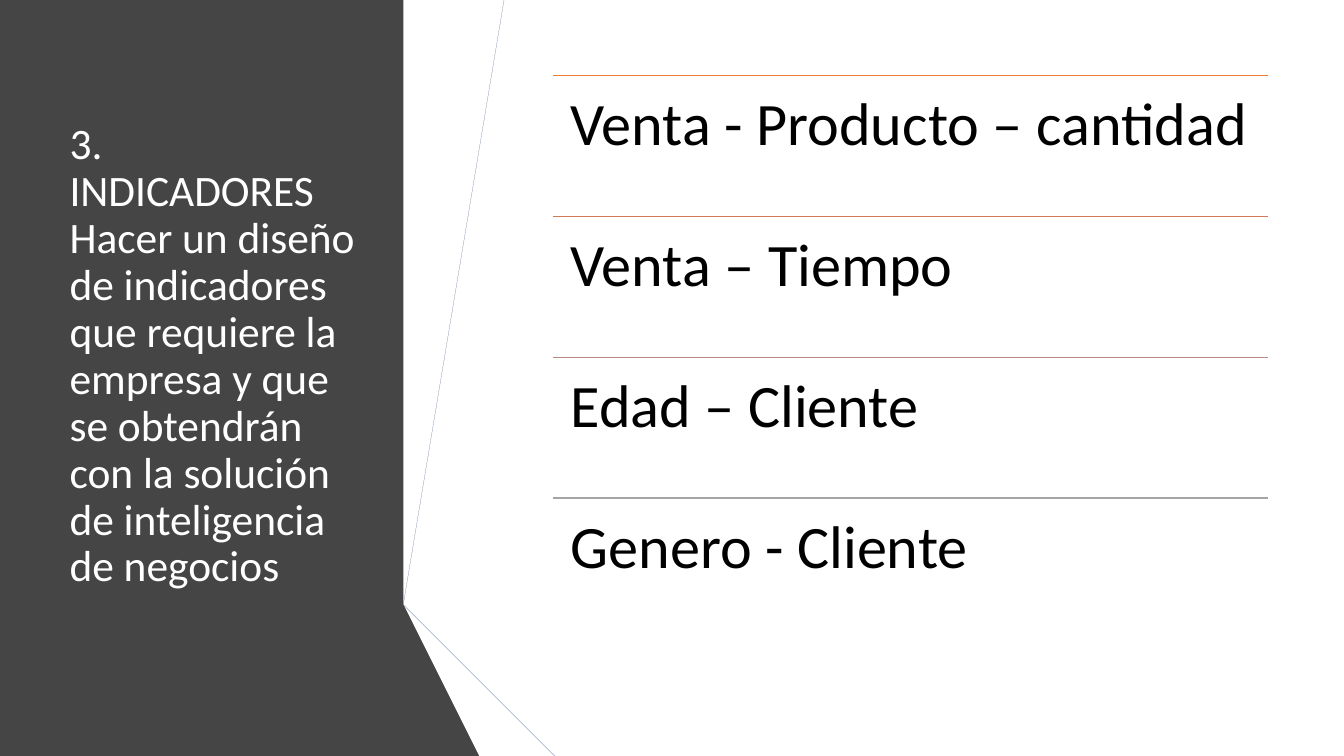
import pptx
import pptx.util
import pptx.dml.color
import pptx.enum.shapes
import pptx.enum.text
import pptx.oxml

Inches = pptx.util.Inches
Pt = pptx.util.Pt


def paint(color_format, hex_color):
    color_format.rgb = pptx.dml.color.RGBColor.from_string(hex_color)


def write(frame, text, size, hex_color, settings):
    for name, value in settings.items():
        setattr(frame, name, value)
    frame.text = text
    para = frame.paragraphs[0]
    para.line_spacing = 0.9
    para.alignment = pptx.enum.text.PP_ALIGN.LEFT
    for span in para.runs:
        span.font.name = "Calibri"
        span.font.size = Pt(size)
        paint(span.font.color, hex_color)


deck = pptx.Presentation()
deck.slide_width = Inches(13.33)
deck.slide_height = Inches(7.5)
page = deck.slides.add_slide(deck.slide_layouts[5])
shapes = page.shapes

ribbons = [
    ("454545", [(0, 0), (4.49, 0), (3.56, 5.76), (4.82, 7.5), (0, 7.5)]),
    ("4472C4", [(3.96, 5.78), (4.23, 5.83), (5.19, 0), (4.91, 0)]),
    ("595959", [(4.85, 0), (4.57, 0), (3.63, 5.73), (3.9, 5.77)]),
    ("262626", [(3.63, 5.73), (4.91, 7.5), (4.97, 7.5)]),
    ("203864", [(3.96, 5.79), (5.54, 7.5), (5.6, 7.5)]),
    ("2F5597", [(3.96, 5.78), (3.96, 5.79), (5.6, 7.5), (6.29, 7.5), (4.23, 5.83)]),
    ("404040", [(3.63, 5.73), (4.97, 7.5), (5.48, 7.5), (3.95, 5.83), (3.9, 5.77)]),
]
for hex_color, corners in ribbons:
    outline = shapes.build_freeform(*corners[0], scale=Inches(1))
    outline.add_line_segments(corners[1:], close=True)
    ribbon = outline.convert_to_shape()
    ribbon.shadow.inherit = False
    ribbon.fill.solid()
    paint(ribbon.fill.fore_color, hex_color)
    ribbon.line.fill.background()

title = shapes.title
shapes.element.append(title.element)
title.left, title.top, title.width, title.height = map(Inches, (0.59, 0.75, 3.04, 5.58))
write(
    title.text_frame,
    "3.\vINDICADORES Hacer un diseño de indicadores que requiere la empresa "
    "y que se obtendrán con la solución de inteligencia de negocios",
    31,
    "FFFFFF",
    {
        "word_wrap": True,
        "auto_size": pptx.enum.text.MSO_AUTO_SIZE.NONE,
        "vertical_anchor": pptx.enum.text.MSO_ANCHOR.MIDDLE,
    },
)

indicators = [
    ("Venta - Producto – cantidad", "ED7D31"),
    ("Venta – Tiempo", "D17B5C"),
    ("Edad – Cliente", "B98A82"),
    ("Genero - Cliente", "A5A5A5"),
]
left, width, row_height = Inches(5.48), Inches(7.1), Inches(5.59 / len(indicators))
inset = Inches(0.18)
box_settings = {
    "word_wrap": True,
    "margin_left": inset,
    "margin_top": inset,
    "margin_right": inset,
    "margin_bottom": inset,
}
for row, (label, hex_color) in enumerate(indicators):
    top = Inches(0.75) + row * row_height
    rule = shapes.add_connector(
        pptx.enum.shapes.MSO_CONNECTOR.STRAIGHT, left, top, left + width, top
    )
    rule.line.width = Pt(1)
    paint(rule.line.color, hex_color)
    properties = rule.element.spPr
    properties.append(pptx.oxml.parse_xml(
        '<a:effectLst xmlns:a="http://schemas.openxmlformats.org/drawingml/2006/main"/>'
    ))
    box = shapes.add_textbox(left, top, width, row_height)
    write(box.text_frame, label, 43, "000000", box_settings)

deck.save("out.pptx")
